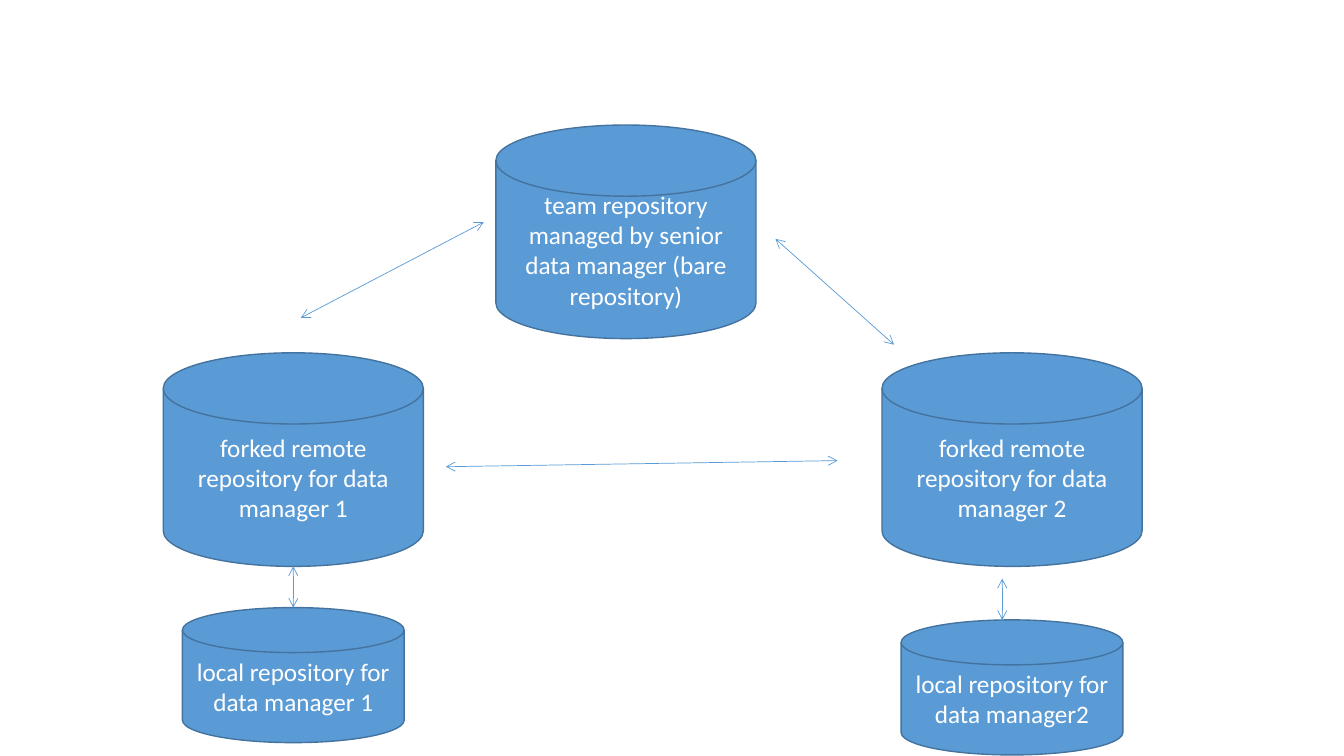
import pptx
import pptx.dml.color
import pptx.enum.shapes
import pptx.enum.text
import pptx.oxml
import pptx.oxml.ns
import pptx.util

Pt = pptx.util.Pt
BLUE = "5B9BD5"
EDGE = "43739E"
WHITE = "FFFFFF"
BIG = (185.8, 152.6)
SMALL = (158.4, 96.5)


def paint(color, code):
    color.rgb = pptx.dml.color.RGBColor.from_string(code)


def add_disk(slide, text, mid, top, size):
    width, height = size
    kind = pptx.enum.shapes.MSO_SHAPE.FLOWCHART_MAGNETIC_DISK
    disk = slide.shapes.add_shape(
        kind, Pt(mid - width / 2), Pt(top), Pt(width), Pt(height))
    disk.shadow.inherit = False
    disk.fill.solid()
    paint(disk.fill.fore_color, BLUE)
    paint(disk.line.color, EDGE)
    disk.line.width = Pt(1)
    frame = disk.text_frame
    frame.text = text
    frame.word_wrap = True
    frame.vertical_anchor = pptx.enum.text.MSO_ANCHOR.MIDDLE
    para = frame.paragraphs[0]
    para.alignment = pptx.enum.text.PP_ALIGN.CENTER
    font = para.runs[0].font
    font.name = "Calibri"
    font.size = Pt(18)
    paint(font.color, WHITE)


def add_arrow(slide, start, end):
    kind = pptx.enum.shapes.MSO_CONNECTOR.STRAIGHT
    arrow = slide.shapes.add_connector(kind, *map(Pt, start + end))
    paint(arrow.line.color, BLUE)
    arrow.line.width = Pt(0.5)
    line = arrow.line._get_or_add_ln()
    for tag in ("a:headEnd", "a:tailEnd"):
        tip = pptx.oxml.parse_xml(
            f'<{tag} {pptx.oxml.ns.nsdecls("a")} type="arrow"/>')
        line.append(tip)
    effect = pptx.oxml.parse_xml(
        f'<a:effectLst {pptx.oxml.ns.nsdecls("a")}/>')
    arrow._element.spPr.append(effect)


def main():
    deck = pptx.Presentation()
    deck.slide_width, deck.slide_height = Pt(960), Pt(540)
    slide = deck.slides.add_slide(deck.slide_layouts[6])

    left, right = 209.5, 722.9
    fork = "forked remote repository for data manager "
    add_disk(slide, "team repository managed by senior data manager "
             "(bare repository)", 447.1, 89.3, BIG)
    add_disk(slide, fork + "2", right, 252, BIG)
    add_disk(slide, fork + "1", left, 252, BIG)
    add_disk(slide, "local repository for data manager 1", left, 434, SMALL)
    add_disk(slide, "local repository for data manager2", right, 442.8, SMALL)

    for start, end in (
        ((214.9, 227), (345.5, 158.7)),
        ((553.9, 170.6), (638.6, 246.2)),
        ((318.5, 333.4), (598.3, 329)),
        ((left, 404.6), (left, 434)),
        ((715.9, 413.4), (715.9, 442.8)),
    ):
        add_arrow(slide, start, end)
    deck.save("out.pptx")


if __name__ == "__main__":
    main()
